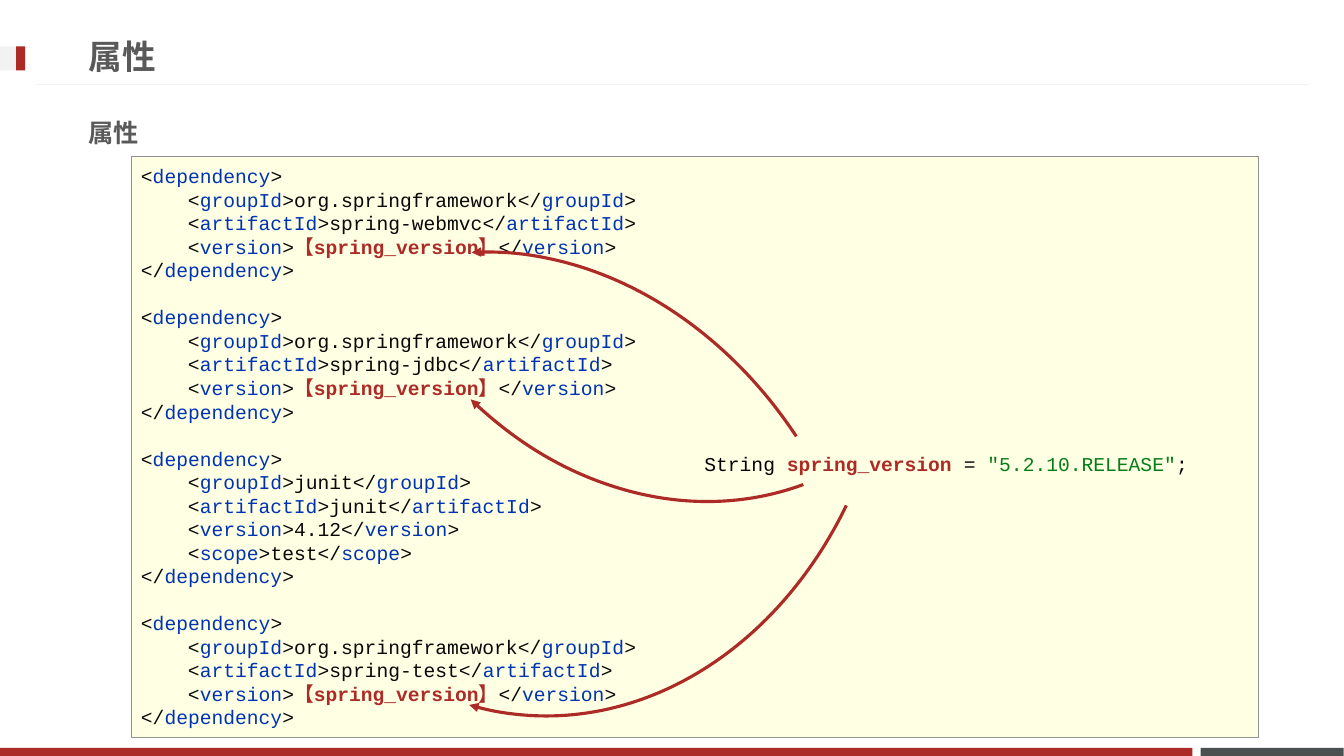
import pptx
import pptx.util
import pptx.dml.color
import pptx.enum.shapes
import pptx.enum.text
import pptx.oxml
import pptx.oxml.ns

Pt = pptx.util.Pt
SHAPES = pptx.enum.shapes.MSO_SHAPE
ANCHOR = pptx.enum.text.MSO_ANCHOR

COLOURS = {
    "red": "AD2B26", "slate": "49504F", "pale": "F2F2F2", "heading": "595959",
    "code": "080808", "tag": "0033B3", "string": "067D17", "black": "000000",
    "paper": "FFFFE4", "frame": "919191",
}
FONT = "Courier New"
CODE_SIZE = 14
INDENT = 33.6
LINE_PITCH = 16.83

PLACEHOLDER = "【spring_version】"
DEPENDENCIES = [
    [("groupId", "org.springframework"), ("artifactId", "spring-webmvc"),
     ("version", PLACEHOLDER)],
    [("groupId", "org.springframework"), ("artifactId", "spring-jdbc"),
     ("version", PLACEHOLDER)],
    [("groupId", "junit"), ("artifactId", "junit"),
     ("version", "4.12"), ("scope", "test")],
    [("groupId", "org.springframework"), ("artifactId", "spring-test"),
     ("version", PLACEHOLDER)],
]
DECLARATION = [
    ("String ", "black", False), ("spring_version ", "red", True),
    ("= ", "code", False), ('"5.2.10.RELEASE"', "string", False),
    (";", "code", False),
]
# text, box, size
HEADINGS = [
    ("属性", (56.16, 19.44, 690.48, 41.04), 24),
    ("属性", (56.16, 74.16, 846.72, 41.04), 18),
]
# box, fill
BARS = [
    ((857.52, 534.24, 102.24, 5.76), "slate"),
    ((0, 534.24, 851.76, 5.76), "red"),
    ((0, 33.12, 18, 17.28), "pale"),
    ((11.52, 33.12, 6.48, 17.28), "red"),
]
CODE_BOX = (93.6, 111.6, 804.96, 414.72)
DECLARATION_BOX = (496.08, 318.96, 360, 24.48)
ARC_SIZE = (475.92, 578.16)
# left and top, rotation, start and end adjustments, flips
ARROWS = [
    ((142.56, 173.52), 338.1, (118.08, 154.14), ("flipH",)),
    ((239.04, -215.28), 341.7, (161.23, 193.16), ("flipH", "flipV")),
    ((162, -66.24), 6, (124.82, 166.2), ("flipH", "flipV")),
]


def rgb(name):
    return pptx.dml.color.RGBColor.from_string(COLOURS[name])


def add_runs(paragraph, pieces, size):
    """Each piece is its text, colour name and whether it is bold."""
    for text, colour, bold in pieces:
        run = paragraph.add_run()
        run.text = text
        run.font.color.rgb = rgb(colour)
        for attribute, value in {"name": FONT, "size": Pt(size), "bold": bold}.items():
            setattr(run.font, attribute, value)


def add_block(slide, preset, box, fill=None, line=None, width=0.75):
    block = slide.shapes.add_shape(preset, *map(Pt, box))
    block.shadow.inherit = False
    if fill:
        block.fill.solid()
        block.fill.fore_color.rgb = rgb(fill)
    else:
        block.fill.background()
    if line:
        block.line.color.rgb = rgb(line)
        block.line.width = Pt(width)
    else:
        block.line.fill.background()
    return block


def set_frame(frame):
    for attribute, value in {"word_wrap": True, "vertical_anchor": ANCHOR.MIDDLE}.items():
        setattr(frame, attribute, value)
    frame.paragraphs[0].alignment = pptx.enum.text.PP_ALIGN.LEFT


def code_lines():
    """Yield the pieces of each line, its indent and the space above it."""
    for number, fields in enumerate(DEPENDENCIES):
        gap = LINE_PITCH if number else 0
        yield [("<", "code", False), ("dependency", "tag", False), (">", "code", False)], 0, gap
        for tag, value in fields:
            marked = value == PLACEHOLDER
            yield [("<", "code", False), (tag, "tag", False), (">", "code", False),
                   (value, "red" if marked else "code", marked),
                   ("</", "code", False), (tag, "tag", False), (">", "code", False)], INDENT, 0
        yield [("</", "code", False), ("dependency", "tag", False), (">", "code", False)], 0, 0


def add_code(slide):
    frame = add_block(slide, SHAPES.RECTANGLE, CODE_BOX, "paper", "frame", 0.25).text_frame
    set_frame(frame)
    for number, (pieces, indent, gap) in enumerate(code_lines()):
        paragraph = frame.add_paragraph() if number else frame.paragraphs[0]
        paragraph.alignment = pptx.enum.text.PP_ALIGN.LEFT
        paragraph.line_spacing = Pt(LINE_PITCH)
        paragraph.space_before = Pt(gap)
        paragraph._p.get_or_add_pPr().set("marL", str(Pt(indent)))
        add_runs(paragraph, pieces, CODE_SIZE)


def add_arrow(slide, corner, rotation, angles, flips):
    arrow = add_block(slide, SHAPES.ARC, corner + ARC_SIZE, line="red", width=2.25)
    arrow.rotation = rotation
    for position, angle in enumerate(angles):
        arrow.adjustments[position] = angle
    for flip in flips:
        arrow.element.spPr.xfrm.set(flip, "1")
    arrow.line._get_or_add_ln().append(pptx.oxml.parse_xml(
        f'<a:tailEnd {pptx.oxml.ns.nsdecls("a")} type="triangle"/>'))


def main():
    deck = pptx.Presentation()
    deck.slide_width, deck.slide_height = Pt(960), Pt(540)
    slide = deck.slides.add_slide(deck.slide_layouts[6])

    for box, fill in BARS:
        add_block(slide, SHAPES.RECTANGLE, box, fill)
    rule = slide.shapes.add_connector(
        pptx.enum.shapes.MSO_CONNECTOR.STRAIGHT, Pt(934.56), Pt(60.48), Pt(25.2), Pt(60.48))
    rule.line.color.rgb = rgb("pale")
    rule.line.width = Pt(0.75)
    rule.element.spPr.append(pptx.oxml.parse_xml(
        f'<a:effectLst {pptx.oxml.ns.nsdecls("a")}/>'))

    for text, box, size in HEADINGS:
        frame = slide.shapes.add_textbox(*map(Pt, box)).text_frame
        set_frame(frame)
        add_runs(frame.paragraphs[0], [(text, "heading", True)], size)

    add_code(slide)
    declaration = add_block(slide, SHAPES.RECTANGLE, DECLARATION_BOX, "paper").text_frame
    set_frame(declaration)
    add_runs(declaration.paragraphs[0], DECLARATION, CODE_SIZE)
    for arrow in ARROWS:
        add_arrow(slide, *arrow)

    deck.save("out.pptx")


if __name__ == "__main__":
    main()
